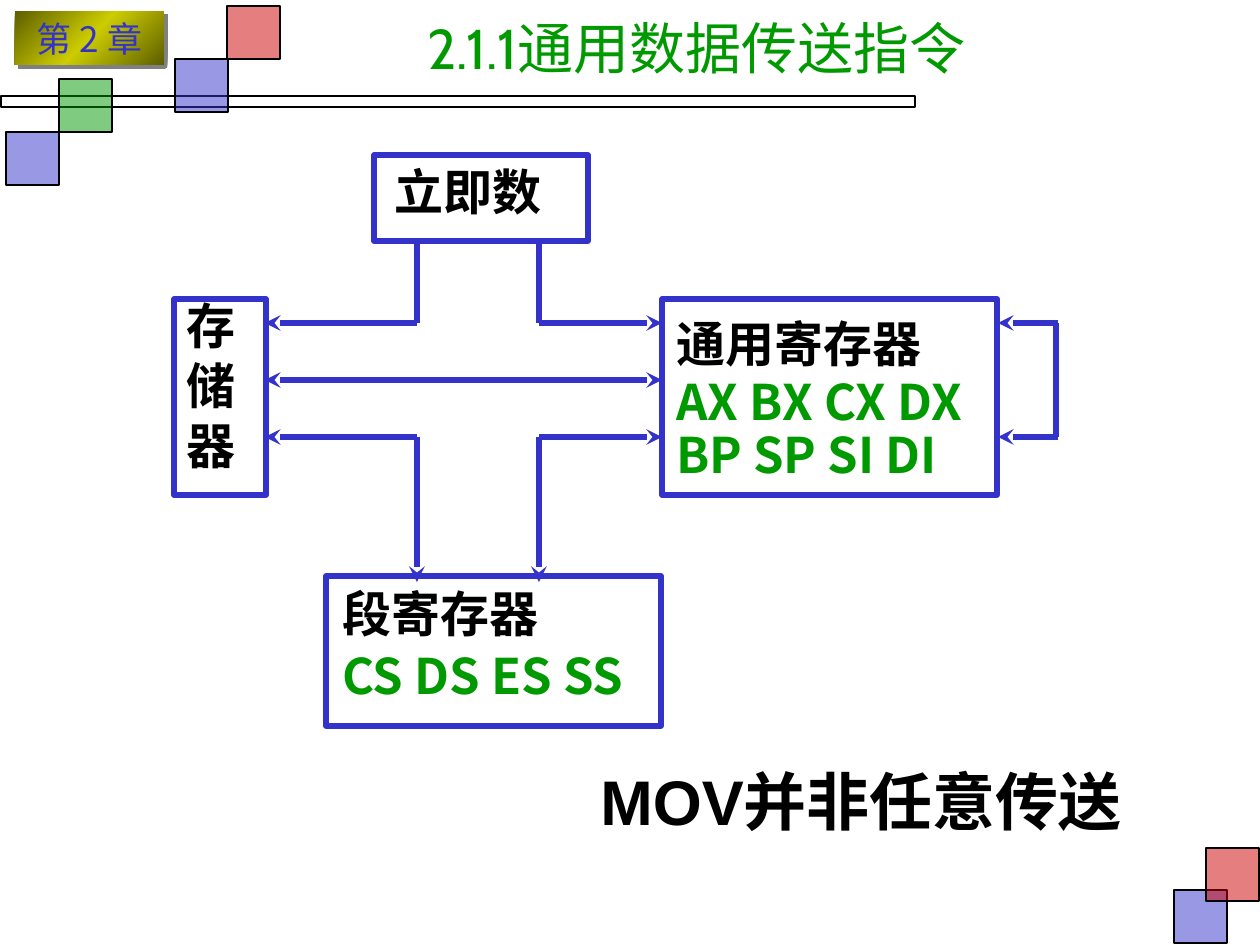
import pptx
import pptx.dml.color
import pptx.enum.shapes
import pptx.enum.text
import pptx.oxml
import pptx.oxml.ns
import pptx.util
from lxml import etree

RGBColor = pptx.dml.color.RGBColor
ALIGN = pptx.enum.text.PP_ALIGN
ANCHOR = pptx.enum.text.MSO_ANCHOR
RECTANGLE = pptx.enum.shapes.MSO_SHAPE.RECTANGLE
STRAIGHT = pptx.enum.shapes.MSO_CONNECTOR.STRAIGHT

BLUE = RGBColor(0x33, 0x33, 0xCC)
RED = RGBColor(0xCC, 0x00, 0x00)
GREEN = RGBColor(0x00, 0x99, 0x00)
BLACK = RGBColor(0x00, 0x00, 0x00)
PX = 914400 // 126
NS = pptx.oxml.ns.nsdecls("a")
qn = pptx.oxml.ns.qn

deck = pptx.Presentation()
deck.slide_width = pptx.util.Inches(10)
deck.slide_height = pptx.util.Inches(7.5)
slide = deck.slides.add_slide(deck.slide_layouts[6])


def add_box(left, top, width, height, line, weight, fill=None):
    box = slide.shapes.add_shape(RECTANGLE, left * PX, top * PX, width * PX, height * PX)
    box.shadow.inherit = False
    if line is None:
        box.line.fill.background()
    else:
        box.line.color.rgb = line
        box.line.width = pptx.util.Pt(weight)
    if fill is None:
        box.fill.background()
    else:
        box.fill.solid()
        box.fill.fore_color.rgb = fill
        color = box.fill._xPr.find(qn("a:solidFill"))[0]
        etree.SubElement(color, qn("a:alpha")).set("val", "50000")
    return box


def style(paragraph, size, font, color, bold=False):
    for run in paragraph.runs:
        run.font.size = pptx.util.Pt(size)
        run.font.name = font
        run.font.color.rgb = color
        run.font.bold = bold


# Decorative bar and squares
add_box(1, 96, 914, 11, BLACK, 1.5)
SQUARE = 53
for left, top, color in [
    (1174, 890, BLUE), (1206, 848, RED), (175, 59, BLUE),
    (6, 132, BLUE), (59, 79, GREEN), (227, 6, RED),
]:
    add_box(left, top, SQUARE, SQUARE, BLACK, 1.5, color)

# Chapter badge with gradient and shadow
badge = add_box(15, 11, 149, 54, None, 0)
properties = badge._element.spPr
gradient = pptx.oxml.parse_xml(
    f'<a:gradFill {NS} rotWithShape="1"><a:gsLst>'
    '<a:gs pos="0"><a:srgbClr val="5E5E00"/></a:gs>'
    '<a:gs pos="50000"><a:srgbClr val="CCCC00"/></a:gs>'
    '<a:gs pos="100000"><a:srgbClr val="5E5E00"/></a:gs>'
    '</a:gsLst><a:lin ang="2700000" scaled="1"/></a:gradFill>')
properties.replace(properties.find(qn("a:noFill")), gradient)
properties.find(qn("a:effectLst")).append(pptx.oxml.parse_xml(
    f'<a:outerShdw {NS} dist="35560" dir="2700000" algn="ctr" rotWithShape="0">'
    '<a:srgbClr val="808080"/></a:outerShdw>'))
badge.text_frame.text = "第 2 章"
badge.text_frame.margin_top = badge.text_frame.margin_bottom = 0
badge.text_frame.vertical_anchor = ANCHOR.MIDDLE
badge.text_frame.paragraphs[0].alignment = ALIGN.CENTER
style(badge.text_frame.paragraphs[0], 20, "Noto Sans CJK JP", BLUE)

# Title and conclusion
for text, area, size, font, color, bold, align, anchor in [
    ("2.1.1通用数据传送指令", (282, 8, 829, 78), 32, "Cabin", GREEN, False,
     ALIGN.CENTER, ANCHOR.MIDDLE),
    ("MOV并非任意传送", (588, 756, 640, 94), 36, "Arial", BLACK, True,
     ALIGN.JUSTIFY, ANCHOR.TOP),
]:
    heading = slide.shapes.add_textbox(*(length * PX for length in area)).text_frame
    heading.word_wrap = True
    heading.vertical_anchor = anchor
    heading.text = text
    heading.paragraphs[0].alignment = align
    style(heading.paragraphs[0], size, font, color, bold)

# Frames: immediate, memory, general registers, segment registers
for area in [(374, 155, 214, 86), (174, 299, 92, 196),
             (662, 299, 335, 196), (326, 576, 335, 150)]:
    add_box(*area, BLUE, 3)

# Transfer paths, with the ends that carry an arrowhead
MEMORY, LEFT, RIGHT, REGISTERS = 265, 417, 539, 662
IMMEDIATE, UPPER, MIDDLE, LOWER, SEGMENT = 244, 323, 380, 437, 582
LOOP, LOOP_END = 998, 1058
for x1, y1, x2, y2, arrows in [
    (LEFT, IMMEDIATE, LEFT, UPPER, ()),
    (LEFT, UPPER, MEMORY, UPPER, ("tail",)),
    (MEMORY, MIDDLE, REGISTERS, MIDDLE, ("head", "tail")),
    (LEFT, LOWER, MEMORY, LOWER, ("tail",)),
    (RIGHT, IMMEDIATE, RIGHT, UPPER, ()),
    (RIGHT, UPPER, REGISTERS, UPPER, ("tail",)),
    (LEFT, LOWER, LEFT, SEGMENT, ("tail",)),
    (RIGHT, LOWER, REGISTERS, LOWER, ("tail",)),
    (LOOP, UPPER, LOOP_END, UPPER, ("head",)),
    (LOOP, LOWER, LOOP_END, LOWER, ("head",)),
    (LOOP_END - 2, UPPER, LOOP_END - 2, LOWER, ()),
    (RIGHT, LOWER, RIGHT, SEGMENT, ("tail",)),
]:
    transfer = slide.shapes.add_connector(STRAIGHT, x1 * PX, y1 * PX, x2 * PX, y2 * PX)
    transfer.line.color.rgb = BLUE
    transfer.line.width = pptx.util.Pt(3)
    for end in arrows:
        etree.SubElement(transfer.line._ln, qn(f"a:{end}End")).set("type", "stealth")
    etree.SubElement(transfer._element.spPr, qn("a:effectLst"))

# Labels: names in black, register lists in green
for area, lines, first_spacing, spacing in [
    ((382, 155, 190, 72), ["立即数"], 1, 1),
    ((330, 577, 326, 136), ["段寄存器", "CS DS ES SS"], 1, 0.6),
    ((664, 307, 331, 189), ["通用寄存器", "AX BX CX DX", "BP SP SI DI"], 1, 0.5),
    ((174, 310, 73, 178), ["存", "储", "器"], 0.6, 0.6),
]:
    label = slide.shapes.add_textbox(*(length * PX for length in area)).text_frame
    label.word_wrap = True
    label.text = "\n".join(lines)
    for number, paragraph in enumerate(label.paragraphs):
        paragraph.space_before = pptx.util.Pt(14)
        paragraph.line_spacing = float(spacing if number else first_spacing)
        if paragraph.text.isascii():
            style(paragraph, 28, "Noto Sans CJK SC", GREEN, True)
        else:
            style(paragraph, 28, "Times New Roman", BLACK, True)

deck.save("out.pptx")
